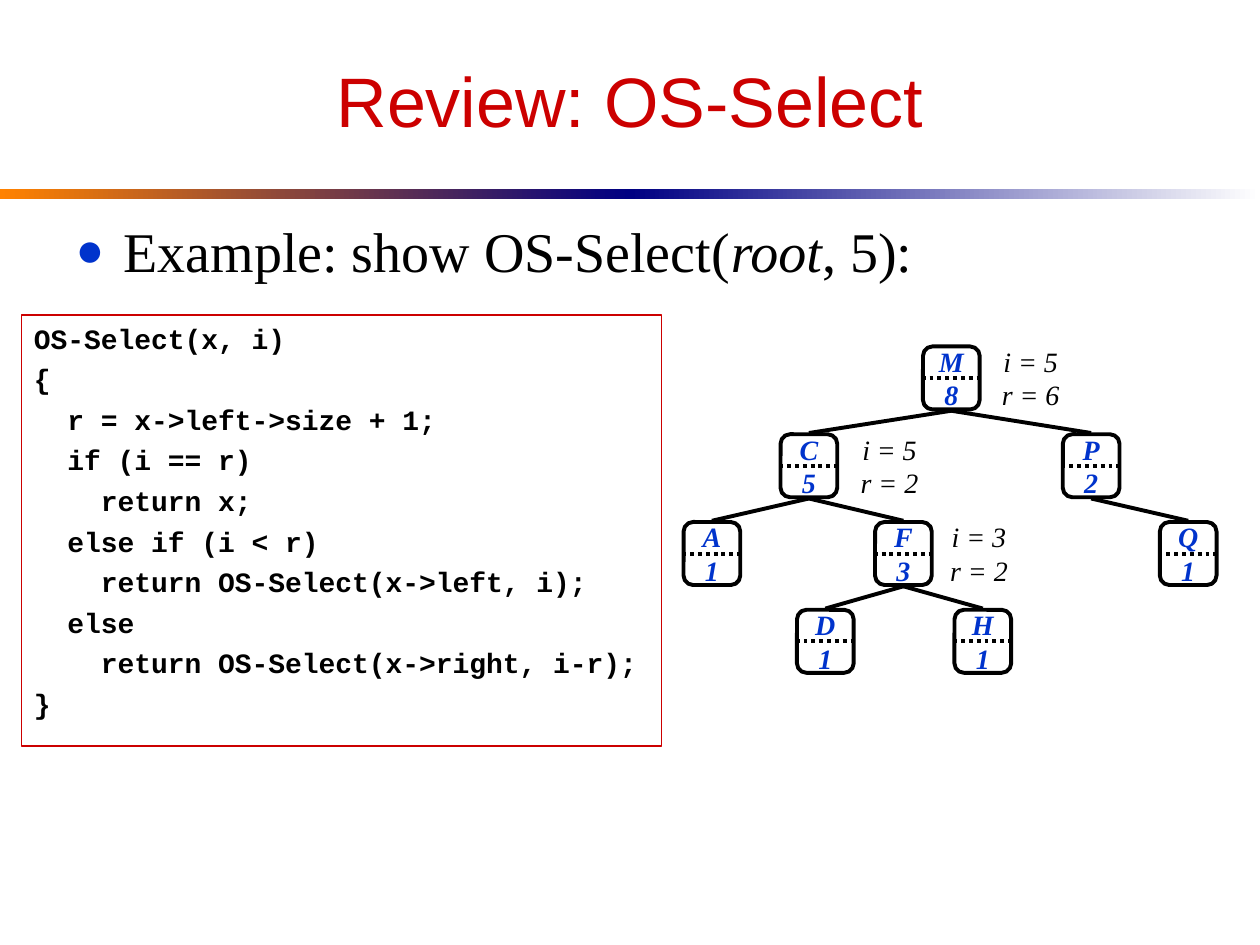
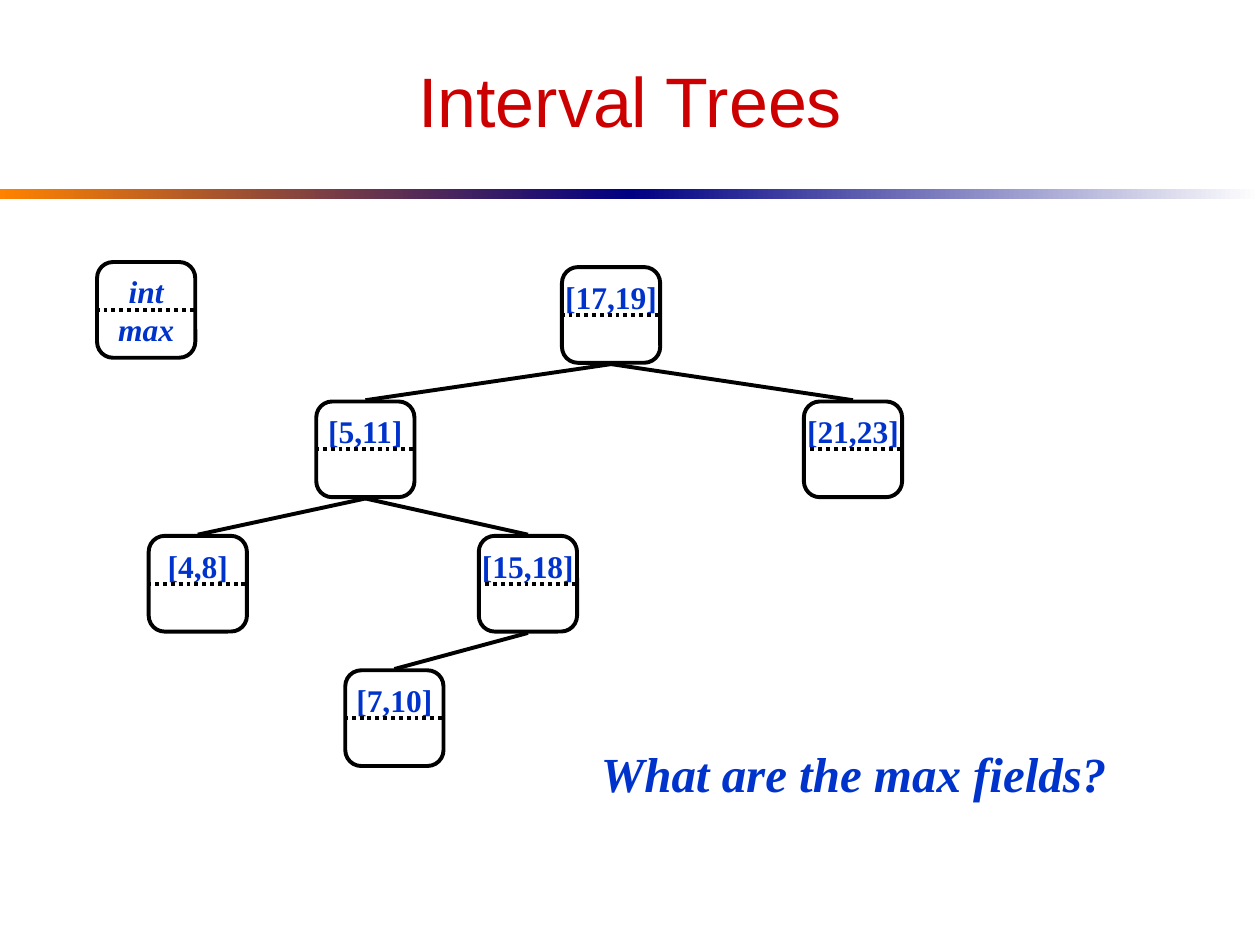
from collections import namedtuple

from lxml.etree import SubElement
from pptx import Presentation
from pptx.dml.color import RGBColor
from pptx.enum.dml import MSO_LINE
from pptx.enum.shapes import MSO_CONNECTOR, MSO_SHAPE
from pptx.enum.text import MSO_ANCHOR, MSO_AUTO_SIZE, PP_ALIGN
from pptx.oxml.ns import qn
from pptx.util import Inches, Pt

RED = RGBColor(0xCC, 0x00, 0x00)
BLUE = RGBColor(0x00, 0x33, 0xCC)
NAVY = RGBColor(0x00, 0x00, 0x82)
ORANGE = RGBColor(0xFF, 0x82, 0x00)
BLACK = RGBColor(0x00, 0x00, 0x00)
WHITE = RGBColor(0xFF, 0xFF, 0xFF)
SERIF, SANS, MONO = "Times New Roman", "Arial", "Courier New"

TITLE_ONLY, TITLE_AND_BODY = 5, 1
EDGE_GAP = 0.01
DIVIDER_OVERHANG = 0.01
LINE_HEIGHT = 1.15
NOTE_WIDTH = 0.8

# All lengths are inches; center is measured from the left of the tree's box
Box = namedtuple("Box", "left top width height")
Node = namedtuple("Node", "center level parent text note note_shift",
                  defaults=("", 0))
NodeStyle = namedtuple("NodeStyle", "width height size italic")

SELECT_CODE = """OS-Select(x, i)
{
  r = x->left->size + 1;
  if (i == r)
    return x;
  else if (i < r)
    return OS-Select(x->left, i);
  else
    return OS-Select(x->right, i-r);
}"""

SELECT_STYLE = NodeStyle(0.45, 0.5, 16, True)
SELECT_TREE = {
    "M": Node(2.13, 0, None, "M\n8", "i = 5\nr = 6", 0.63),
    "C": Node(1.0, 1, "M", "C\n5", "i = 5\nr = 2", 0.64),
    "P": Node(3.24, 1, "M", "P\n2"),
    "A": Node(0.23, 2, "C", "A\n1"),
    "F": Node(1.75, 2, "C", "F\n3", "i = 3\nr = 2", 0.6),
    "Q": Node(4.01, 2, "P", "Q\n1"),
    "D": Node(1.13, 3, "F", "D\n1"),
    "H": Node(2.38, 3, "F", "H\n1"),
}

INTERVAL_STYLE = NodeStyle(0.78, 0.76, 18, False)
INTERVAL_TREE = {
    17: Node(3.67, 0, None, "[17,19]"),
    5: Node(1.72, 1, 17, "[5,11]"),
    21: Node(5.59, 1, 17, "[21,23]"),
    4: Node(0.39, 2, 5, "[4,8]"),
    15: Node(3.01, 2, 5, "[15,18]"),
    7: Node(1.95, 3, 15, "[7,10]"),
}


def inches(box):
    return [Inches(length) for length in box]


def move(shape, box):
    shape.left, shape.top, shape.width, shape.height = inches(box)


def format_text(frame, font, size, color, bold=False, italic=False, align=PP_ALIGN.LEFT):
    for para in frame.paragraphs:
        para.alignment = align
        for span in para.runs:
            span.font.name, span.font.size = font, Pt(size)
            span.font.bold, span.font.italic = bold, italic
            span.font.color.rgb = color


def add_outline(page, kind, box, color, weight):
    shape = page.shapes.add_shape(kind, *inches(box))
    shape.shadow.inherit = False
    shape.fill.background()
    shape.line.color.rgb, shape.line.width = color, Pt(weight)
    return shape


def add_line(page, start, end, dash=None):
    line = page.shapes.add_connector(MSO_CONNECTOR.STRAIGHT, *inches(start + end))
    line.line.color.rgb, line.line.width = BLACK, Pt(2.25)
    if dash:
        line.line.dash_style = dash
    SubElement(line.element.spPr, qn("a:effectLst"))


def add_label(page, box, text, size, color, bold=False, align=PP_ALIGN.CENTER):
    label = page.shapes.add_textbox(*inches(box))
    frame = label.text_frame
    frame.word_wrap = True
    frame.vertical_anchor = MSO_ANCHOR.MIDDLE
    frame.text = text
    format_text(frame, SERIF, size, color, bold, True, align)


# Shared parts: gradient band on the master, title on each page
def add_master_band(deck, page):
    for left, start, end in ((0, ORANGE, NAVY), (5, NAVY, WHITE)):
        band = page.shapes.add_shape(MSO_SHAPE.RECTANGLE, *inches(Box(left, 1.5, 5, 0.08)))
        band.shadow.inherit = False
        band.line.fill.background()
        band.fill.gradient()
        band.fill.gradient_angle = 0
        for stop, color in zip(band.fill.gradient_stops, (start, end)):
            stop.color.rgb = color
        deck.slide_master.shapes.element.append(band.element)


def add_page(deck, layout, title):
    page = deck.slides.add_slide(deck.slide_layouts[layout])
    move(page.shapes.title, Box(0.5, 0.25, 9, 1.08))
    frame = page.shapes.title.text_frame
    frame.text = title
    frame.vertical_anchor = MSO_ANCHOR.MIDDLE
    format_text(frame, SANS, 40, RED, align=PP_ALIGN.CENTER)
    return page


# Tree: rounded boxes split by a dotted line
def add_node(page, box, text, style):
    node = add_outline(page, MSO_SHAPE.ROUNDED_RECTANGLE, box, BLACK, 2.25)
    node.adjustments[0] = 0.167
    frame = node.text_frame
    frame.word_wrap = False
    frame.vertical_anchor = MSO_ANCHOR.MIDDLE
    frame.text = text
    if len(frame.paragraphs) == 1:  # the lower half stays empty
        frame.margin_bottom = Inches(0.05) + Pt(style.size * LINE_HEIGHT)
    format_text(frame, SERIF, style.size, BLUE, True, style.italic, PP_ALIGN.CENTER)
    middle = box.top + box.height / 2
    add_line(page, (box.left - DIVIDER_OVERHANG, middle),
             (box.left + box.width + DIVIDER_OVERHANG, middle), MSO_LINE.ROUND_DOT)


def add_tree(page, box, nodes, style):
    depth = max(node.level for node in nodes.values())
    step = (box.height - style.height) / depth

    def box_around(node, width, shift=0):
        return Box(box.left + node.center + shift - width / 2,
                   box.top + node.level * step, width, style.height)

    for node in nodes.values():
        place = box_around(node, style.width)
        add_node(page, place, node.text, style)
        if node.note:
            add_label(page, box_around(node, NOTE_WIDTH, node.note_shift),
                      node.note, style.size, BLACK)
        if node.parent is not None:
            parent = nodes[node.parent]
            parent_bottom = box_around(parent, style.width).top + style.height
            add_line(page, (box.left + parent.center, parent_bottom + EDGE_GAP),
                     (box.left + node.center, place.top - EDGE_GAP))


# Bulleted example line in the body placeholder
def add_example(page, box):
    body = page.placeholders[1]
    move(body, box)
    frame = body.text_frame
    frame.auto_size = MSO_AUTO_SIZE.NONE
    para = frame.paragraphs[0]
    for text in ("Example: show OS-Select(", "root", ", 5):"):
        para.add_run().text = text
    para.space_before = Pt(0)
    properties = para._p.get_or_add_pPr()
    properties.set("marL", str(Inches(0.38)))
    properties.set("indent", str(-Inches(0.38)))
    color = SubElement(properties, qn("a:buClr"))
    SubElement(color, qn("a:srgbClr")).set("val", str(BLUE))
    SubElement(properties, qn("a:buSzPct")).set("val", "85000")
    SubElement(properties, qn("a:buChar")).set("char", "●")
    format_text(frame, SERIF, 32, BLACK)
    para.runs[1].font.italic = True


def add_code(page, box):
    panel = add_outline(page, MSO_SHAPE.RECTANGLE, box, RED, 0.75)
    frame = panel.text_frame
    frame.word_wrap = True
    frame.vertical_anchor = MSO_ANCHOR.TOP
    frame.text = SELECT_CODE
    for para in frame.paragraphs[1:]:
        para.space_before = Pt(4)
    format_text(frame, MONO, 16, BLACK, bold=True)


def build_select_page(deck):
    page = add_page(deck, TITLE_AND_BODY, "Review: OS-Select")
    add_master_band(deck, page)
    add_example(page, Box(0.5, 1.67, 9, 4.75))
    add_tree(page, Box(5.42, 2.75, 4.24, 2.59), SELECT_TREE, SELECT_STYLE)
    add_code(page, Box(0.17, 2.5, 5.08, 3.42))


def build_interval_page(deck):
    page = add_page(deck, TITLE_ONLY, "Interval Trees")
    add_tree(page, Box(1.18, 2.12, 5.98, 3.96), INTERVAL_TREE, INTERVAL_STYLE)
    # Key to the node fields
    add_node(page, Box(0.77, 2.08, 0.78, 0.76), "int\nmax",
             INTERVAL_STYLE._replace(italic=True))
    add_label(page, Box(4.67, 5.85, 4.4, 0.57), "What are the max fields?",
              28, BLUE, bold=True, align=PP_ALIGN.LEFT)


def main():
    deck = Presentation()
    deck.slide_width, deck.slide_height = Inches(10), Inches(7.5)
    build_select_page(deck)
    build_interval_page(deck)
    deck.save("out.pptx")


if __name__ == "__main__":
    main()
